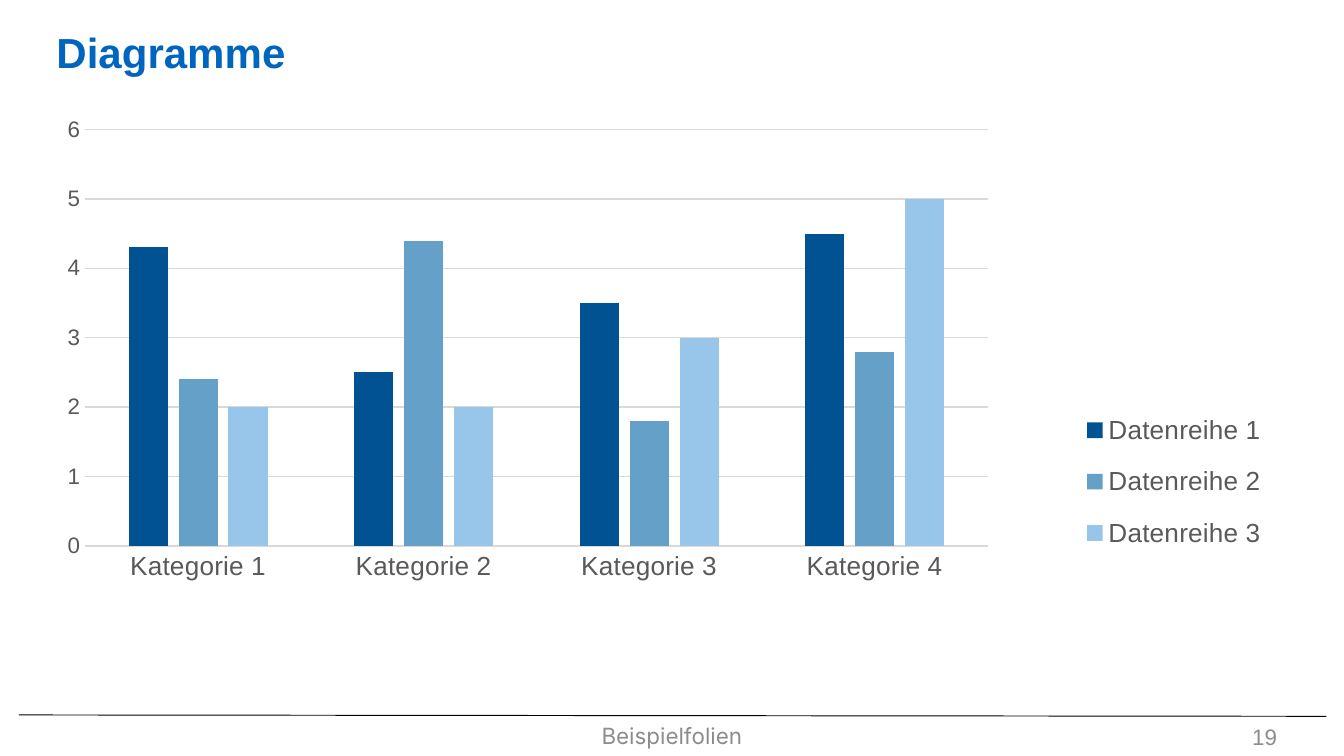
from typing import NamedTuple

from lxml.etree import SubElement
from pptx import Presentation
from pptx.chart.data import CategoryChartData
from pptx.dml.color import RGBColor
from pptx.enum.chart import XL_CHART_TYPE, XL_LEGEND_POSITION, XL_TICK_MARK
from pptx.enum.shapes import MSO_CONNECTOR
from pptx.enum.text import MSO_ANCHOR, PP_ALIGN
from pptx.oxml import parse_xml
from pptx.oxml.ns import nsdecls, qn
from pptx.util import Inches, Pt

BLACK = RGBColor(0x00, 0x00, 0x00)
TITLE_BLUE = RGBColor(0x00, 0x65, 0xBE)
FOOTER_GREY = RGBColor(0x8C, 0x8C, 0x8C)
LABEL_GREY = RGBColor(0x59, 0x59, 0x59)
GRID_GREY = RGBColor(0xD9, 0xD9, 0xD9)
DARK_BLUE = RGBColor(0x00, 0x52, 0x93)
MID_BLUE = RGBColor(0x64, 0xA0, 0xC8)
LIGHT_BLUE = RGBColor(0x98, 0xC6, 0xEA)


class Box(NamedTuple):
    left: float
    top: float
    width: float
    height: float

    def inches(self) -> list:
        return [Inches(value) for value in self]


class DataRow(NamedTuple):
    name: str
    values: tuple
    color: RGBColor


class FooterText(NamedTuple):
    text: str
    box: Box
    font: str
    align: PP_ALIGN


CATEGORIES = [f"Kategorie {number}" for number in range(1, 5)]
DATA_ROWS = [
    DataRow("Datenreihe 1", (4.3, 2.5, 3.5, 4.5), DARK_BLUE),
    DataRow("Datenreihe 2", (2.4, 4.4, 1.8, 2.8), MID_BLUE),
    DataRow("Datenreihe 3", (2, 2, 3, 5), LIGHT_BLUE),
]
FOOTER_TEXTS = [
    FooterText("Beispielfolien", Box(2.3, 5.35, 5.4, 0.25), "Inter", PP_ALIGN.CENTER),
    FooterText("19", Box(8.86, 5.36, 0.74, 0.24), "Arial", PP_ALIGN.RIGHT),
]


def style_font(font, size: float, color: RGBColor, name: str = "Arial", bold: bool = False) -> None:
    font.size, font.name, font.bold = Pt(size), name, bold
    font.color.rgb = color


def write_text(shape, text: str, *, size: float, color: RGBColor, font: str = "Arial",
               bold: bool = False, align: PP_ALIGN = PP_ALIGN.LEFT, spacing: float = 1.0) -> None:
    frame = shape.text_frame
    frame.word_wrap = True
    frame.vertical_anchor = MSO_ANCHOR.MIDDLE
    paragraph = frame.paragraphs[0]
    paragraph.alignment = align
    paragraph.line_spacing = spacing
    run = paragraph.add_run()
    run.text = text
    style_font(run.font, size, color, font, bold)


def layout_xml(area: Box, inner: bool = False):
    """Manual chart layout, as fractions of the chart's size."""
    target = '<c:layoutTarget val="inner"/>' if inner else ""
    return parse_xml(
        f'<c:layout {nsdecls("c")}><c:manualLayout>{target}'
        '<c:xMode val="edge"/><c:yMode val="edge"/>'
        f'<c:x val="{area.left}"/><c:y val="{area.top}"/>'
        f'<c:w val="{area.width}"/><c:h val="{area.height}"/>'
        '</c:manualLayout></c:layout>')


def set_layout(chart, plot_area: Box, legend_area: Box) -> None:
    plot_element = chart.element.find(".//" + qn("c:plotArea"))
    legend_element = chart.element.find(".//" + qn("c:legend"))
    for element in (plot_element, legend_element):
        for automatic in element.findall(qn("c:layout")):
            element.remove(automatic)
    plot_element.insert(0, layout_xml(plot_area, inner=True))
    legend_element.find(qn("c:legendPos")).addnext(layout_xml(legend_area))


def style_axis(axis, label_size: float) -> None:
    axis.major_tick_mark = axis.minor_tick_mark = XL_TICK_MARK.NONE
    style_font(axis.tick_labels.font, label_size, LABEL_GREY)


def style_line(line, color: RGBColor, width: float) -> None:
    line.color.rgb = color
    line.width = Pt(width)


def add_column_chart(slide, box: Box) -> None:
    chart_data = CategoryChartData()
    chart_data.categories = CATEGORIES
    for row in DATA_ROWS:
        chart_data.add_series(row.name, row.values)
    chart = slide.shapes.add_chart(XL_CHART_TYPE.COLUMN_CLUSTERED, *box.inches(), chart_data).chart
    style_font(chart.font, 10, BLACK)
    chart.has_title = False

    columns = chart.plots[0]
    columns.vary_by_categories = False
    columns.gap_width, columns.overlap = 219, -27
    for series, row in zip(columns.series, DATA_ROWS):
        series.format.fill.solid()
        series.format.fill.fore_color.rgb = row.color

    categories, values = chart.category_axis, chart.value_axis
    style_axis(categories, 14)
    style_line(categories.format.line, GRID_GREY, 0.75)
    style_axis(values, 12)
    values.format.line.fill.background()
    values.minimum_scale, values.maximum_scale, values.major_unit = 0, 6, 1
    values.has_major_gridlines = True
    style_line(values.major_gridlines.format.line, GRID_GREY, 0.75)

    chart.has_legend = True
    chart.legend.position = XL_LEGEND_POSITION.BOTTOM
    chart.legend.include_in_layout = False
    style_font(chart.legend.font, 14, LABEL_GREY)
    set_layout(chart, Box(0.035, 0.049, 0.721, 0.711), Box(0.83, 0.5, 0.15, 0.3))


def add_footer(slide) -> None:
    rule = slide.shapes.add_connector(
        MSO_CONNECTOR.STRAIGHT, Inches(9.87), Inches(5.33), Inches(0.14), Inches(5.32))
    style_line(rule.line, BLACK, 0.5)
    SubElement(rule.element.spPr, qn("a:effectLst"))
    for item in FOOTER_TEXTS:
        textbox = slide.shapes.add_textbox(*item.box.inches())
        write_text(textbox, item.text, size=12, color=FOOTER_GREY, font=item.font, align=item.align)


def main() -> None:
    presentation = Presentation()
    presentation.slide_width = Inches(10)
    presentation.slide_height = presentation.slide_width * 9 // 16
    slide = presentation.slides.add_slide(presentation.slide_layouts[5])
    title = slide.shapes.title
    title.left, title.top, title.width, title.height = Box(0.32, 0.16, 5.67, 0.35).inches()
    write_text(title, "Diagramme", size=22.5, color=TITLE_BLUE, bold=True, spacing=1.25)
    add_footer(slide)
    add_column_chart(slide, Box(0.31, 0.75, 9.31, 4.36))
    presentation.save("out.pptx")


if __name__ == "__main__":
    main()
